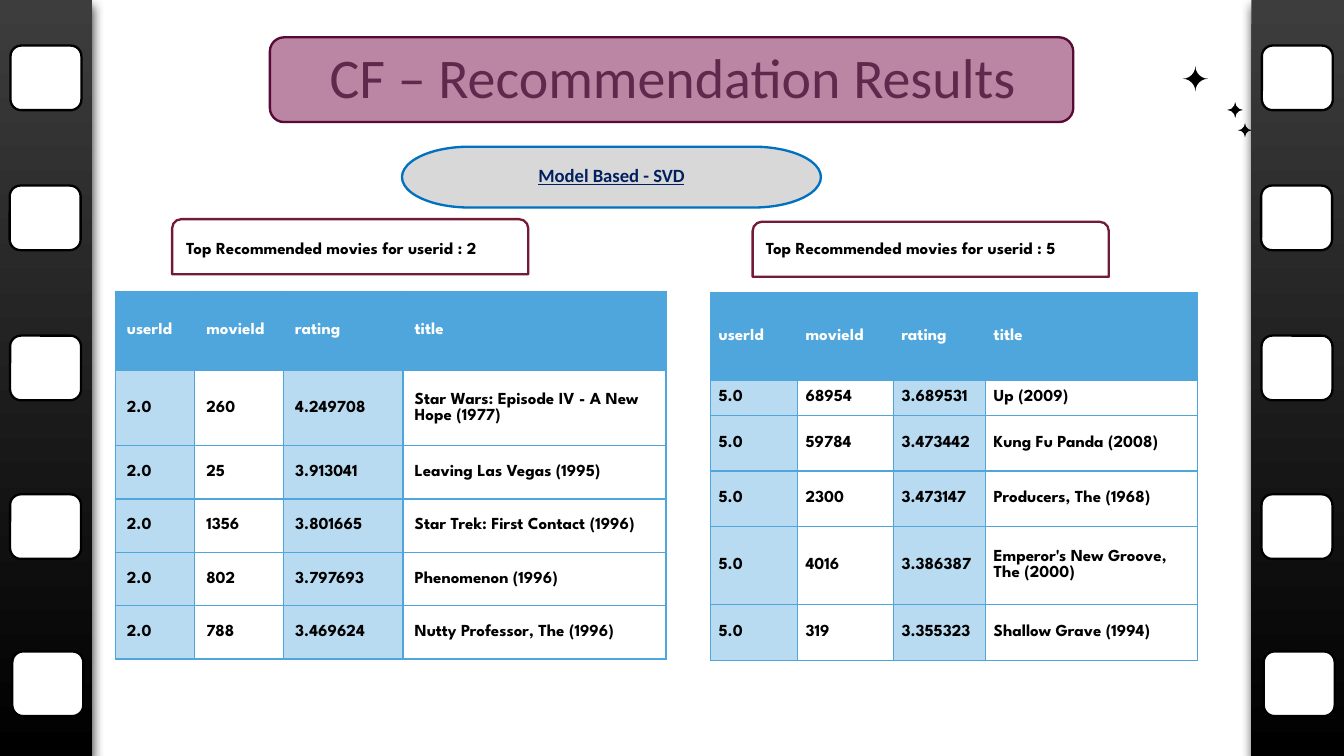
from lxml import etree
from pptx import Presentation
from pptx.dml.color import RGBColor
from pptx.enum import shapes, text
from pptx.oxml import ns
from pptx.util import Pt

COLORS = {
    "white": "FFFFFF", "black": "000000", "wine": "731A36", "plum": "780F49",
    "plum_edge": "570A35", "slate": "454551", "grey": "D8D8D8", "blue": "0070C0",
    "navy": "002060", "sky": "4EA6DC", "charcoal": "3D3D3D",
}
BODY_FONT, TITLE_FONT = "League Spartan", "Calibri"
KIND = shapes.MSO_SHAPE

HEADER = ("userId", "movieId", "rating", "title")
TABLES = [
    {
        "user": "2.0", "left": 61.8, "top": 156, "insets": (6.2, 3.1),
        "columns": (42.6, 47.6, 64, 140.8), "heights": (42.6, 40.2, 28.6, 28.6, 28.6, 28.6),
        "movies": [
            ("260", "4.249708", "Star Wars: Episode IV - A New Hope (1977)"),
            ("25", "3.913041", "Leaving Las Vegas (1995)"),
            ("1356", "3.801665", "Star Trek: First Contact (1996)"),
            ("802", "3.797693", "Phenomenon (1996)"),
            ("788", "3.469624", "Nutty Professor, The (1996)"),
        ],
    },
    {
        "user": "5.0", "left": 380.6, "top": 157, "insets": (4.4, 2.2),
        "columns": (46.6, 51.4, 49.4, 113.4), "heights": (46.6, 19, 29.8, 29.8, 41.8, 29.8),
        "movies": [
            ("68954", "3.689531", "Up (2009)"),
            ("59784", "3.473442", "Kung Fu Panda (2008)"),
            ("2300", "3.473147", "Producers, The (1968)"),
            ("4016", "3.386387", "Emperor's New Groove, The (2000)"),
            ("319", "3.355323", "Shallow Grave (1994)"),
        ],
    },
]
FRAMES = [(92.2, 117.4), (403.2, 118.8)]
CAPTIONS = [
    ("Top Recommended movies for userid : 2", 92.7),
    ("Top Recommended movies for userid : 5", 403.2),
]
STARS = [(657.4, 54.6, 8.6), (633.6, 35.4, 13.6)]
STAR_BEHIND_STRIP = (663.2, 66, 7.6)
STRIP_LEFTS = (0, 670.4)
HOLES = [(5.6, 24.4), (5.2, 99.4), (5.4, 179.8), (5.4, 264.8), (6.6, 349)]


def rgb(name):
    return RGBColor.from_string(COLORS[name])


def add_element(parent, tag, **attributes):
    return etree.SubElement(parent, ns.qn(tag), attributes)


def set_alpha(parent, percent):
    """Make the solid colour below parent partly transparent."""
    color = next(parent.iter(ns.qn("a:srgbClr")))
    add_element(color, "a:alpha", val=str(percent * 1000))


def add_shadow(effects, alpha, blur, distance):
    shadow = add_element(effects, "a:outerShdw", blurRad=str(Pt(blur)), dist=str(Pt(distance)),
                         dir="5400000", algn="ctr", rotWithShape="0")
    color = add_element(shadow, "a:srgbClr", val=COLORS["black"])
    add_element(color, "a:alpha", val=str(alpha * 1000))


def add_figure(parent, kind, left, top, width, height, fill=None, line=None):
    figure = parent.shapes.add_shape(kind, Pt(left), Pt(top), Pt(width), Pt(height))
    figure.shadow.inherit = False
    if fill:
        figure.fill.solid()
        figure.fill.fore_color.rgb = rgb(fill)
    if line:
        figure.line.color.rgb = rgb(line)
        figure.line.width = Pt(1.25)
    else:
        figure.line.fill.background()
    return figure


def write(frame, content, font=BODY_FONT, size=9, color="black", bold=True,
          underline=False, align=text.PP_ALIGN.LEFT):
    paragraph = frame.paragraphs[0]
    paragraph.alignment = align
    span = paragraph.add_run()
    span.text = content
    span.font.name, span.font.size = font, Pt(size)
    span.font.bold, span.font.underline = bold, underline
    span.font.color.rgb = rgb(color)
    return span


def add_text(page, content, left, top, width, height, margin=3.6, **style):
    box = page.shapes.add_textbox(Pt(left), Pt(top), Pt(width), Pt(height))
    frame = box.text_frame
    frame.word_wrap = True
    frame.margin_left = frame.margin_right = Pt(7.2)
    frame.margin_top = frame.margin_bottom = Pt(margin)
    return write(frame, content, **style)


def add_star(parent, left, top, size):
    star = add_figure(parent, KIND.PLAQUE, left, top, size, size, "black")
    star.adjustments[0] = 0.5


def add_film_strip(page, left, star=None):
    strip = page.shapes.add_group_shape()
    if star:
        add_star(strip, *star)
    band = add_figure(strip, KIND.RECTANGLE, left, 0, 49.6, 405)
    band.fill.gradient()
    band.fill.gradient_angle = 270
    for stop, color in zip(band.fill.gradient_stops, ("charcoal", "black")):
        stop.color.rgb = rgb(color)
    add_shadow(band._element.spPr.find(ns.qn("a:effectLst")), 75, 6, 3)
    for offset, top in HOLES:
        add_figure(strip, KIND.ROUNDED_RECTANGLE, left + offset, top, 38, 34.6, "white", "black")


def set_borders(cell):
    properties = cell._tc.get_or_add_tcPr()
    for index, side in enumerate("LRTB"):
        border = etree.Element(ns.qn(f"a:ln{side}"), w=str(Pt(0.75)))
        fill = add_element(border, "a:solidFill")
        add_element(fill, "a:srgbClr", val=COLORS["sky"])
        properties.insert(index, border)


def add_movie_table(page, data):
    rows = [HEADER] + [(data["user"], *movie) for movie in data["movies"]]
    columns, heights = data["columns"], data["heights"]
    table = page.shapes.add_table(len(rows), len(HEADER), Pt(data["left"]), Pt(data["top"]),
                                  Pt(sum(columns)), Pt(sum(heights))).table
    table.horz_banding = False
    for column, width in zip(table.columns, columns):
        column.width = Pt(width)
    side, edge = data["insets"]
    for i, (values, height) in enumerate(zip(rows, heights)):
        table.rows[i].height = Pt(height)
        for j, value in enumerate(values):
            cell = table.cell(i, j)
            cell.vertical_anchor = text.MSO_ANCHOR.MIDDLE
            cell.margin_left = cell.margin_right = Pt(side)
            cell.margin_top = cell.margin_bottom = Pt(edge)
            write(cell.text_frame, value, color="black" if i else "white")
            if i and j % 2:
                cell.fill.background()
            else:
                cell.fill.solid()
                cell.fill.fore_color.rgb = rgb("sky")
                if i:
                    set_alpha(cell._tc.tcPr, 40)
            set_borders(cell)


def main():
    deck = Presentation()
    deck.slide_width, deck.slide_height = Pt(720), Pt(405)
    page = deck.slides.add_slide(deck.slide_layouts[6])

    for left, top in FRAMES:
        add_figure(page, KIND.ROUND_2_SAME_RECTANGLE, left, top, 190.8, 29.5, "white", "wine")

    center = text.PP_ALIGN.CENTER
    title = add_text(page, "CF – Recommendation Results", 56.9, 15.8, 607, 45.4, margin=7.2,
                     font=TITLE_FONT, size=30, color="slate", bold=False, align=center)
    effects = etree.Element(ns.qn("a:effectLst"))
    add_shadow(effects, 40, 3, 2)
    title.font._element.find(ns.qn("a:solidFill")).addnext(effects)

    add_figure(page, KIND.FLOWCHART_TERMINATOR, 215.4, 78.6, 224.4, 32.6, "grey", "blue")
    add_text(page, "Model Based - SVD", 246.2, 84.2, 162.8, 19.4, font=TITLE_FONT, size=10,
             color="navy", underline=True, align=center)
    for caption, left in CAPTIONS:
        add_text(page, caption, left, 123.8, 224, 18)

    banner = add_figure(page, KIND.ROUNDED_RECTANGLE, 144.6, 20, 430.4, 45.4, "plum", "plum_edge")
    set_alpha(banner._element.spPr.find(ns.qn("a:solidFill")), 50)

    for left, star in zip(STRIP_LEFTS, (None, STAR_BEHIND_STRIP)):
        add_film_strip(page, left, star)
    for data in TABLES:
        add_movie_table(page, data)
    for star in STARS:
        add_star(page, *star)
    deck.save("out.pptx")


if __name__ == "__main__":
    main()
